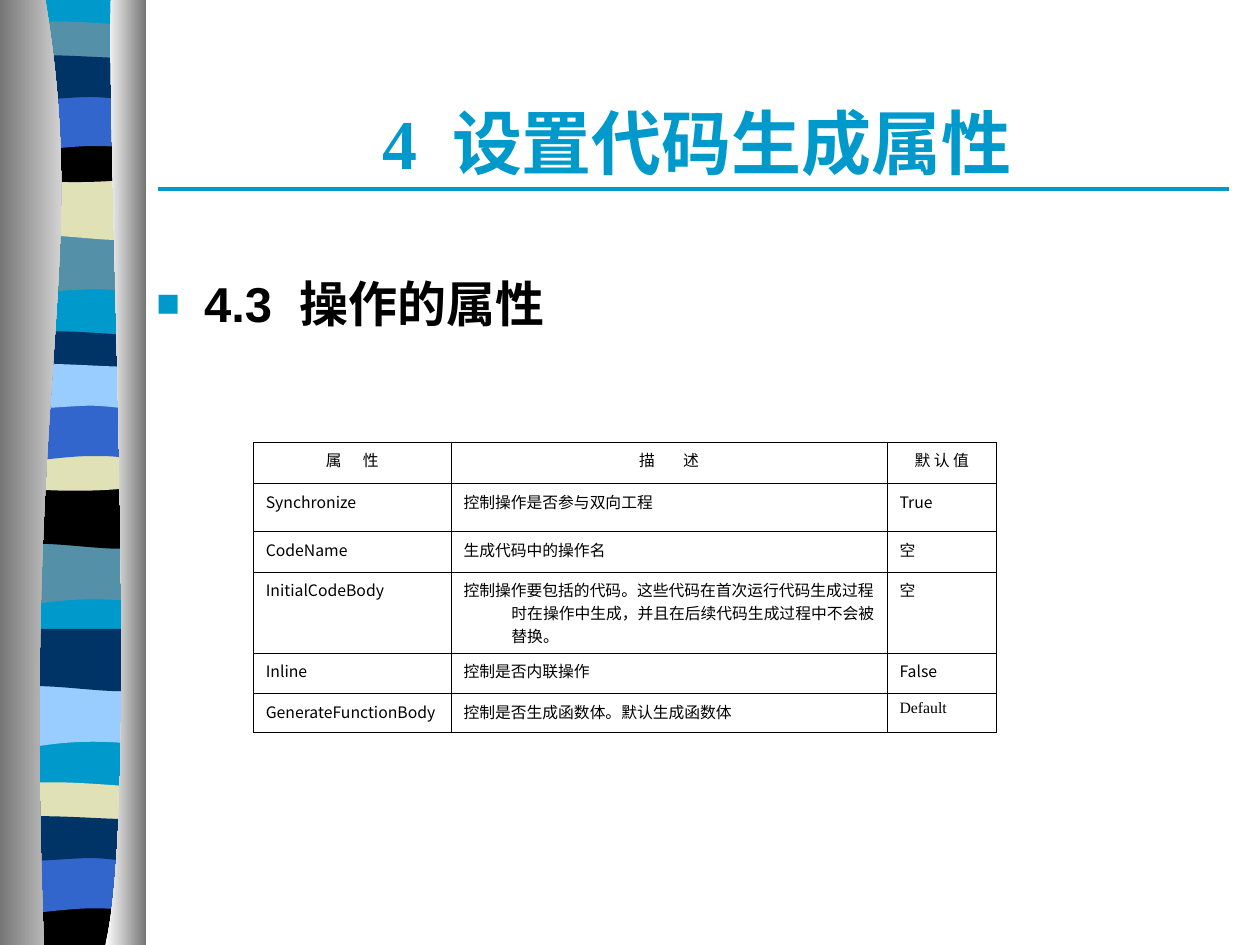
from dataclasses import dataclass

from lxml.etree import SubElement
from pptx import Presentation
from pptx.dml.color import RGBColor
from pptx.enum.shapes import MSO_CONNECTOR as Connector
from pptx.enum.text import MSO_ANCHOR as Anchor, MSO_AUTO_SIZE as AutoSize, PP_ALIGN as Align
from pptx.oxml.ns import qn
from pptx.util import Inches, Pt


@dataclass(frozen=True)
class Theme:
    accent: str = "0099CC"
    teal: str = "5490A8"
    sand: str = "E1E1B7"
    navy: str = "003366"
    blue: str = "3366CC"
    sky: str = "99CCFF"
    black: str = "000000"
    white: str = "FFFFFF"
    shade: str = "767676"
    serif: str = "Times New Roman"
    sans: str = "Arial"
    cjk: str = "Noto Sans CJK SC"
    title_size: int = 40
    heading_size: int = 28
    cell_size: int = 9


@dataclass(frozen=True)
class Box:
    left: float
    top: float
    width: float
    height: float

    def emu(self):
        return [Inches(v) for v in (self.left, self.top, self.width, self.height)]

    def at(self, across, down):
        return self.left + across * self.width, self.top + down * self.height


THEME = Theme()
PAGE = Box(0, 0, 10, 7.5)
HANG = 0.38

# Band outlines: x as a share of the strip width, y in inches below the band top.
# A pair is a straight step; six numbers are a cubic curve.
WAVE = [(1, 0), (1, 0.47), (0.31, 0.39, 0.17, 0.55, 0, 0.47), (0, 0)]
SWELL = [(1, 0), (1, 0.47), (0.83, 0.55, 0.31, 0.41, 0, 0.47), (0, 0)]
LENS = [(1, 0.05), (1, 0.29), (0.83, 0.33, 0.17, 0.33, 0, 0.29), (0, 0.05),
        (0.06, 0, 0.21, 0.01, 0.38, 0.01), (0.55, 0.01, 0.87, 0.04, 1, 0.05)]
CREST = (0.61, 0.05, 0.78, 0, 1, 0)
BOWL = [(1, 0), (1, 0.32), (0.83, 0.38, 0.17, 0.38, 0, 0.32), (0, 0), CREST]
BASE = [(1, 0), (1, 0.38), (0, 0.38), (0, 0), CREST]
ARCH = [(1, 0), (1, 0.47), (0.84, 0.42, 0.78, 0.42, 0.61, 0.42),
        (0.44, 0.42, 0.15, 0.47, 0, 0.47), (0, 0)]
RIPPLE = [(1, 0.05), (1, 0.36), (0.94, 0.41, 0.78, 0.36, 0.61, 0.36),
          (0.44, 0.36, 0.1, 0.41, 0, 0.36), (0, 0.05),
          (0.14, 0, 0.68, 0.05, 0.84, 0.05), (1.01, 0.05, 0.96, 0.05, 1, 0.05)]

BANDS = [
    (WAVE, 1.85, THEME.teal), (SWELL, 1.41, THEME.sand), (LENS, 0.16, THEME.teal),
    (BOWL, 1.08, THEME.black), (ARCH, 0.74, THEME.blue), (RIPPLE, 0.41, THEME.navy),
    (WAVE, 4.31, THEME.teal), (SWELL, 3.86, THEME.black), (LENS, 2.62, THEME.navy),
    (BOWL, 3.53, THEME.sand), (ARCH, 3.2, THEME.blue), (RIPPLE, 2.86, THEME.sky),
    (WAVE, 5.44, THEME.sky), (SWELL, 4.99, THEME.navy), (LENS, 6.2, THEME.sand),
    (BASE, 7.12, THEME.black), (ARCH, 6.79, THEME.blue), (RIPPLE, 6.45, THEME.navy),
]

ROWS = [
    ("属      性", "描        述", "默 认 值"),
    ("Synchronize", "控制操作是否参与双向工程", "True"),
    ("CodeName", "生成代码中的操作名", "空"),
    ("InitialCodeBody", "控制操作要包括的代码。这些代码在首次运行代码生成过程时在操作中生成，"
     "并且在后续代码生成过程中不会被替换。", "空"),
    ("Inline", "控制是否内联操作", "False"),
    ("GenerateFunctionBody", "控制是否生成函数体。默认生成函数体", "Default"),
]
COLUMN_WIDTHS = (1.57, 3.46, 0.87)
ROW_HEIGHTS = (0.33, 0.38, 0.32, 0.64, 0.32, 0.31)


def color(value):
    return RGBColor.from_string(value)


def bend(shape, steps):
    """Merge each three straight segments that stand for a cubic step into one curve."""
    segments = iter(shape._element.findall(f".//{qn('a:lnTo')}"))
    for step in steps[1:]:
        first = next(segments)
        if len(step) == 6:
            first.tag = qn("a:cubicBezTo")
            for _ in range(2):
                control = next(segments)
                first.append(control[0])
                control.getparent().remove(control)


def add_outline(page, box, steps, *stops):
    """Draw a closed shape with one flat colour, or a left-to-right gradient of two."""
    pairs = [step[i:i + 2] for step in steps for i in range(0, len(step), 2)]
    points = [tuple(Inches(v) for v in box.at(*pair)) for pair in pairs]
    builder = page.shapes.build_freeform(*points[0])
    builder.add_line_segments(points[1:], close=True)
    shape = builder.convert_to_shape()
    bend(shape, steps)
    shape.shadow.inherit = False
    shape.line.fill.background()
    if len(stops) == 1:
        shape.fill.solid()
        shape.fill.fore_color.rgb = color(stops[0])
    else:
        shape.fill.gradient()
        shape.fill.gradient_angle = 0
        for stop, value in zip(shape.fill.gradient_stops, stops):
            stop.color.rgb = color(value)


def write(frame, text, *, font, size, ink=THEME.black, bold=False, align=Align.LEFT, hang=0):
    para = frame.paragraphs[0]
    para.alignment = align
    properties = para._p.get_or_add_pPr()
    properties.set("marL", str(Inches(hang)))
    properties.set("indent", str(-Inches(hang)))
    span = para.add_run()
    span.text = text
    span.font.name, span.font.size, span.font.bold = font, Pt(size), bold
    span.font.color.rgb = color(ink)
    SubElement(span._r.get_or_add_rPr(), qn("a:ea"), typeface=THEME.cjk)
    return para


def add_ribbon(page, box):
    """Striped strip between two curved silver columns."""
    strip = Box(*box.at(0.05, 0), 0.93 * box.width, box.height)
    add_outline(page, strip, [(1, 0), (1, 1), (0, 1), (0, 0)], THEME.accent)
    for steps, top, fill in BANDS:
        band = Box(strip.left, strip.top + top, strip.width, 1)
        add_outline(page, band, steps, fill)
    left = [(0.31, 0), (0.62, 0.29, 0.15, 0.39, 0.3, 1), (0, 1), (0, 0)]
    right = [(0.76, 0), (0.73, 0.17, 0.96, 0.86, 0.72, 1), (1, 1), (1, 0)]
    add_outline(page, box, left, THEME.shade, THEME.white)
    add_outline(page, box, right, THEME.white, THEME.shade)


def place(holder, box, anchor):
    holder.left, holder.top, holder.width, holder.height = box.emu()
    frame = holder.text_frame
    frame.word_wrap, frame.auto_size, frame.vertical_anchor = True, AutoSize.NONE, anchor
    return frame


def add_title(page, box, text):
    write(place(page.shapes.title, box, Anchor.MIDDLE), text, font=THEME.serif,
          size=THEME.title_size, ink=THEME.accent, bold=True, align=Align.CENTER)
    ends = [Inches(v) for v in (1.25, 1.5, 9.75, 1.5)]
    rule = page.shapes.add_connector(Connector.STRAIGHT, *ends)
    rule.line.color.rgb = color(THEME.accent)
    rule.line.width = Pt(2.25)
    SubElement(rule._element.spPr, qn("a:effectLst"))


def add_heading(page, box, text):
    para = write(place(page.placeholders[1], box, Anchor.TOP), text, font=THEME.sans,
                 size=THEME.heading_size, bold=True, hang=HANG)
    para.line_spacing = 0.9
    para.space_before = para.space_after = Pt(7)
    properties = para._p.get_or_add_pPr()
    SubElement(SubElement(properties, qn("a:buClr")), qn("a:srgbClr"), val=THEME.accent)
    SubElement(properties, qn("a:buSzPct"), val="80000")
    SubElement(properties, qn("a:buChar"), char="■")


def add_borders(cell):
    for side in ("lnL", "lnR", "lnT", "lnB"):
        line = SubElement(cell._tc.get_or_add_tcPr(), qn(f"a:{side}"), w=str(Pt(0.45)))
        SubElement(SubElement(line, qn("a:solidFill")), qn("a:srgbClr"), val=THEME.black)


def add_property_table(page, box):
    table = page.shapes.add_table(len(ROWS), len(COLUMN_WIDTHS), *box.emu()).table
    table.first_row = table.horz_banding = False
    for column, width in zip(table.columns, COLUMN_WIDTHS):
        column.width = Inches(width)
    for r, (values, height) in enumerate(zip(ROWS, ROW_HEIGHTS)):
        table.rows[r].height = Inches(height)
        for c, value in enumerate(values):
            cell = table.cell(r, c)
            add_borders(cell)
            cell.fill.background()
            write(cell.text_frame, value, size=THEME.cell_size, hang=HANG,
                  font=THEME.serif if value == "Default" else THEME.cjk,
                  align=Align.LEFT if r else Align.CENTER)


def main():
    deck = Presentation()
    deck.slide_width, deck.slide_height = Inches(PAGE.width), Inches(PAGE.height)
    page = deck.slides.add_slide(deck.slide_layouts[1])
    add_ribbon(page, Box(0, 0, 1.16, PAGE.height))
    add_title(page, Box(1.28, 0.5, 8.5, 1.25), "4  设置代码生成属性")
    add_heading(page, Box(1.14, 2.17, 4.17, 4.5), "4.3  操作的属性")
    add_property_table(page, Box(2.01, 3.51, sum(COLUMN_WIDTHS), sum(ROW_HEIGHTS)))
    deck.save("out.pptx")


if __name__ == "__main__":
    main()
